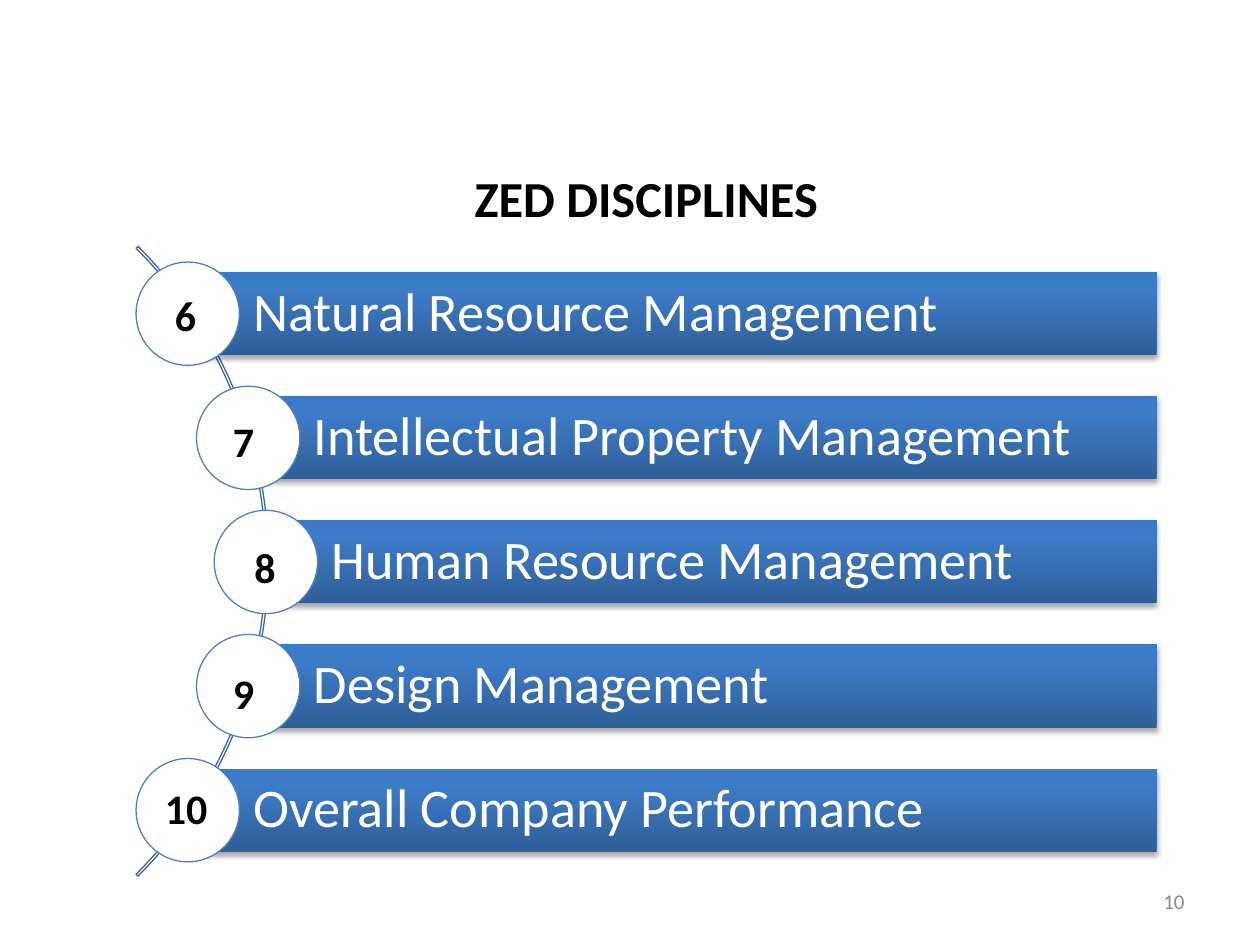
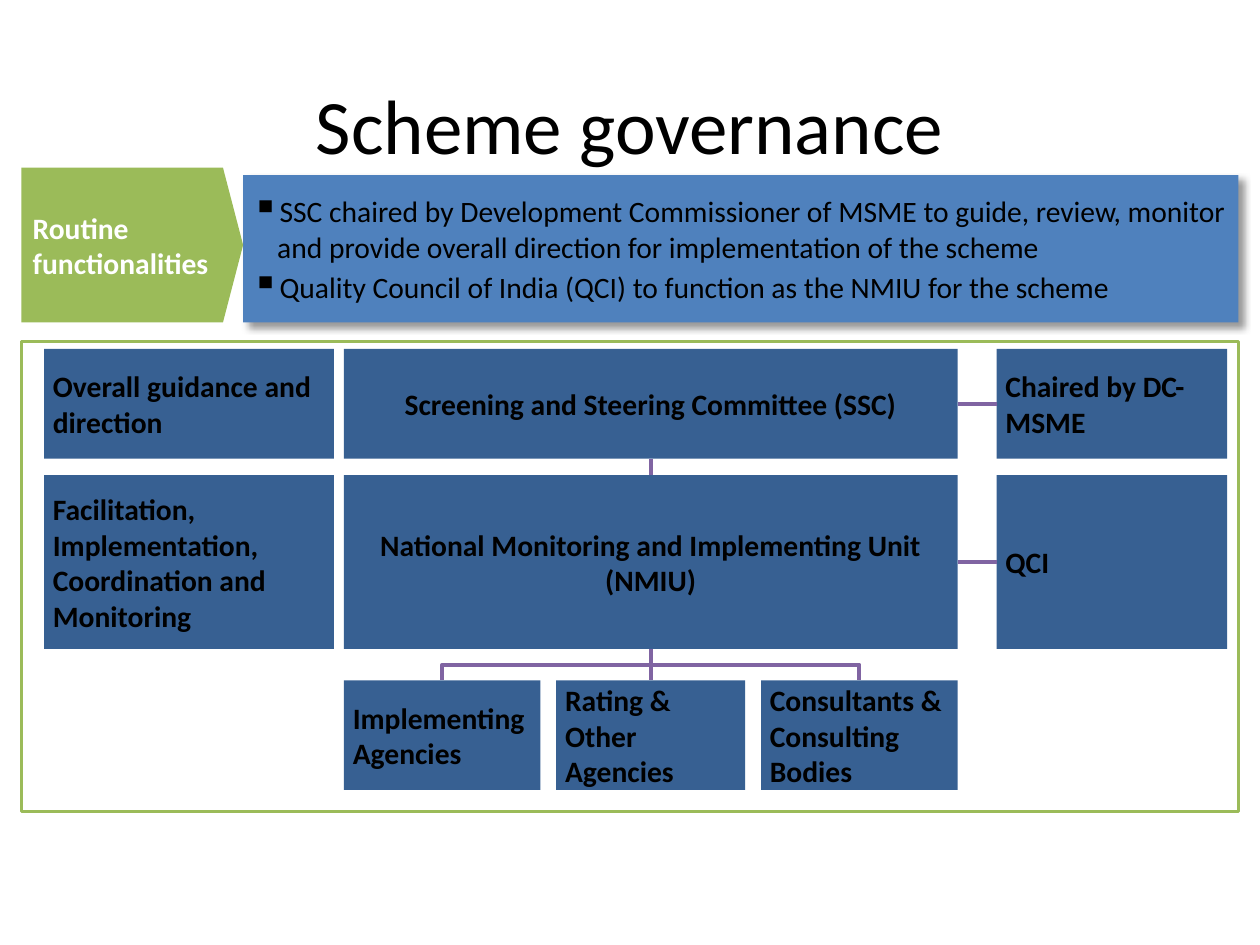
from dataclasses import dataclass

from lxml import etree
from pptx import Presentation
from pptx.dml.color import RGBColor
from pptx.enum.shapes import MSO_CONNECTOR, MSO_SHAPE
from pptx.enum.text import MSO_ANCHOR, PP_ALIGN
from pptx.oxml import parse_xml
from pptx.oxml.ns import nsdecls, qn
from pptx.util import Inches, Pt

RECT, OVAL, ARC = MSO_SHAPE.RECTANGLE, MSO_SHAPE.OVAL, MSO_SHAPE.BLOCK_ARC
STRAIGHT, ELBOW = MSO_CONNECTOR.STRAIGHT, MSO_CONNECTOR.ELBOW
LEFT, CENTER, RIGHT = PP_ALIGN.LEFT, PP_ALIGN.CENTER, PP_ALIGN.RIGHT
TOP, MIDDLE, BOTTOM = MSO_ANCHOR.TOP, MSO_ANCHOR.MIDDLE, MSO_ANCHOR.BOTTOM
SIDE_TOP, SIDE_LEFT, SIDE_BOTTOM, SIDE_RIGHT = range(4)


@dataclass(frozen=True)
class Theme:
    font: str = "Calibri"
    black: str = "000000"
    white: str = "FFFFFF"
    grey: str = "8C8C8C"
    blue: str = "4F81BD"
    dark_blue: str = "376092"
    arc_blue: str = "3F6797"
    green: str = "9BBB59"
    purple: str = "8064A2"
    bar_stops: tuple = ((0, "2F5F99"), (80, "3D7CC7"), (100, "3A7CCB"))
    title: float = 44
    bar: float = 31
    heading: float = 28.8
    number: float = 24
    body: float = 16.9
    footer: float = 12


THEME = Theme()
DEFAULT_INSETS = (0.1, 0.05, 0.1, 0.05)
CARD_INSETS = (0.07,) * 4
NO_INSETS = (0,) * 4


@dataclass(frozen=True)
class Box:
    left: float
    top: float
    width: float
    height: float

    def inner(self, left, top, width, height):
        """A box placed relative to this one."""
        return Box(self.left + left, self.top + top, width, height)

    def emu(self):
        return [Inches(v) for v in (self.left, self.top, self.width, self.height)]


# Shared helpers
def write(shape, lines, size, color=THEME.black, bold=False, align=LEFT,
          anchor=MIDDLE, insets=DEFAULT_INSETS, wrap=True):
    frame = shape.text_frame
    frame.word_wrap = wrap
    frame.vertical_anchor = anchor
    (frame.margin_left, frame.margin_top,
     frame.margin_right, frame.margin_bottom) = map(Inches, insets)
    frame.text = "\n".join(lines)
    for para in frame.paragraphs:
        para.alignment = align
        para.font.name = THEME.font
        para.font.size = Pt(size)
        para.font.bold = bold
        para.font.color.rgb = RGBColor.from_string(color)
    return frame


def add_text(page, box, text, size, **style):
    return write(page.shapes.add_textbox(*box.emu()), [text], size, **style)


def paint(shape, fill=None, line=None, weight=0.75):
    shape.shadow.inherit = False
    if fill:
        shape.fill.solid()
        shape.fill.fore_color.rgb = RGBColor.from_string(fill)
    else:
        shape.fill.background()
    if line:
        shape.line.color.rgb = RGBColor.from_string(line)
        shape.line.width = Pt(weight)
    else:
        shape.line.fill.background()
    return shape


def add_panel(page, kind, box, fill=None, line=None, weight=0.75):
    return paint(page.shapes.add_shape(kind, *box.emu()), fill, line, weight)


def add_shadow(shape, opacity, blur, distance, angle):
    effects = shape._element.spPr.find(qn("a:effectLst"))
    effects.append(parse_xml(
        f'<a:outerShdw {nsdecls("a")} blurRad="{Pt(blur)}" dist="{Pt(distance)}" '
        f'dir="{angle * 60000}" algn="ctr" rotWithShape="0">'
        f'<a:srgbClr val="{THEME.black}"><a:alpha val="{opacity * 1000}"/></a:srgbClr>'
        '</a:outerShdw>'))


def shade_bar(shape):
    stops = "".join(f'<a:gs pos="{pos * 1000}"><a:srgbClr val="{color}"/></a:gs>'
                    for pos, color in THEME.bar_stops)
    solid = shape._element.spPr.find(qn("a:solidFill"))
    solid.getparent().replace(solid, parse_xml(
        f'<a:gradFill {nsdecls("a")} rotWithShape="1"><a:gsLst>{stops}</a:gsLst>'
        f'<a:lin ang="{270 * 60000}" scaled="0"/></a:gradFill>'))


def add_bullet(para):
    props = para._p.get_or_add_pPr()
    props.set("marL", str(Inches(0.2)))
    props.set("indent", str(Inches(-0.2)))
    color = etree.SubElement(props, qn("a:buClr"))
    etree.SubElement(color, qn("a:srgbClr"), val=THEME.black)
    etree.SubElement(props, qn("a:buSzPct"), val="125000")
    etree.SubElement(props, qn("a:buChar"), char="▪")


def style_connector(connector):
    connector.line.color.rgb = RGBColor.from_string(THEME.purple)
    connector.line.width = Pt(2.25)
    etree.SubElement(connector._element.spPr, qn("a:effectLst"))


def link(page, start, start_side, end, end_side):
    connector = page.shapes.add_connector(STRAIGHT, 0, 0, 0, 0)
    connector.begin_connect(start, start_side)
    connector.end_connect(end, end_side)
    style_connector(connector)


def branch(page, parent, child):
    """Elbow from the parent's bottom down to the child's top."""
    x1, y1 = parent.left + parent.width // 2, parent.top + parent.height
    x2, y2 = child.left + child.width // 2, child.top
    mid_x, mid_y = (x1 + x2) // 2, (y1 + y2) // 2
    half_drop, half_run = (y2 - y1) // 2, abs(x2 - x1) // 2
    # An elbow starts sideways, so it is laid out flat and turned
    reach = half_drop if x2 < x1 else -half_drop
    connector = page.shapes.add_connector(
        ELBOW, mid_x - reach, mid_y - half_run, mid_x + reach, mid_y + half_run)
    turn = 90 if x2 < x1 else 270
    connector._element.spPr.find(qn("a:xfrm")).set("rot", str(turn * 60000))
    style_connector(connector)


# Slide with numbered disciplines along an arc
# Label, bar indent, number, number offset from the region
DISCIPLINES = (
    ("Natural Resource Management", 0.41, "6", (0.21, 0.17)),
    ("Intellectual Property Management", 0.89, "7", (0.67, 1.17)),
    ("Human Resource Management", 1.03, "8", (0.84, 2.17)),
    ("Design Management", 0.89, "9", (0.67, 3.17)),
    ("Overall Company Performance", 0.41, "10", (0.13, 4.08)),
)


def draw_disciplines(page, box):
    disc, bar_height = 0.82, 0.66
    pitch = (box.height - disc) / (len(DISCIPLINES) - 1)

    arc = add_panel(page, ARC, box.inner(-6.02, -1.16, 7.07, 7.07), line=THEME.arc_blue)
    for index, value in enumerate((189, 27, 0.003)):
        arc.adjustments[index] = value

    for row, (label, indent, number, (x, y)) in enumerate(DISCIPLINES):
        top = row * pitch
        bar = add_panel(page, RECT, box.inner(
            indent, top + (disc - bar_height) / 2, box.width - indent, bar_height), THEME.blue)
        shade_bar(bar)
        add_shadow(bar, 35, 3.1, 1.8, 90)
        frame = write(bar, [label], THEME.bar, THEME.white, insets=(0.52, 0.09, 0.09, 0.09))
        frame.paragraphs[0].line_spacing = 0.9
        add_panel(page, OVAL, box.inner(indent - disc / 2, top, disc, disc),
                  THEME.white, THEME.blue)
        add_text(page, box.inner(x, y, 0.2 + 0.17 * len(number), 0.5), number,
                 THEME.number, bold=True, anchor=TOP, wrap=False)


def disciplines_slide(page):
    add_text(page, Box(7.17, 6.95, 2.33, 0.4), "10", THEME.footer,
             color=THEME.grey, align=RIGHT)
    draw_disciplines(page, Box(1.08, 2.08, 8.1, 4.76))
    add_text(page, Box(3.17, 1.28, 3.92, 0.58), "ZED DISCIPLINES", THEME.heading,
             bold=True, align=CENTER)


# Slide with the governance structure
def draw_routine(page, box):
    tag_width, point = 1.76, 0.16
    detail = add_panel(page, RECT, box.inner(
        tag_width, 0.06, box.width - tag_width, box.height - 0.06), THEME.blue)
    add_shadow(detail, 40, 4, 4, 45)
    frame = write(detail, [
        "SSC chaired by Development Commissioner of MSME to guide, review, monitor "
        "and provide overall direction for implementation of the scheme",
        "Quality Council of India (QCI) to function as the NMIU for the scheme",
    ], THEME.body, insets=CARD_INSETS)
    for index, para in enumerate(frame.paragraphs):
        add_bullet(para)
        para.space_before = Pt(3 if index else 0)

    # Arrow-shaped tag
    left, top, bottom = box.left, box.top, box.top + box.height
    shoulder = left + tag_width - point
    outline = [(shoulder, top), (left + tag_width, top + box.height / 2),
               (shoulder, bottom), (left, bottom)]
    builder = page.shapes.build_freeform(Inches(left), Inches(top))
    builder.add_line_segments([(Inches(x), Inches(y)) for x, y in outline], close=True)
    tag = paint(builder.convert_to_shape(), THEME.green)
    write(tag, ["Routine functionalities"], THEME.body, THEME.white, bold=True,
          insets=(0.09, 0.09, 0.14, 0.09))


def draw_structure(page, box):
    add_panel(page, RECT, box, THEME.white, THEME.green, 1.5)

    def card(left, top, width, height, text, align=LEFT):
        shape = add_panel(page, RECT, box.inner(left, top, width, height), THEME.dark_blue)
        write(shape, [text], THEME.body, bold=True, align=align, insets=CARD_INSETS)
        return shape

    # Role, body and chair in each row
    main_left, main_width, low = 2.56, 4.87, 0.87
    rows = (
        (0.06, low, "Overall guidance and direction",
         "Screening and Steering Committee (SSC)", "Chaired by DC-MSME"),
        (1.06, 1.38, "Facilitation, Implementation, Coordination and Monitoring",
         "National Monitoring and Implementing Unit (NMIU)", "QCI"),
    )
    bodies = []
    for top, height, role, body, chair in rows:
        card(0.18, top, 2.3, height, role)
        bodies.append(card(main_left, top, main_width, height, body, CENTER))
        chair_card = card(7.74, top, 1.83, height, chair)
        link(page, bodies[-1], SIDE_RIGHT, chair_card, SIDE_LEFT)
    committee, unit = bodies
    link(page, committee, SIDE_BOTTOM, unit, SIDE_TOP)

    # Agencies under the unit: flush left, centred, flush right
    agencies = (("Implementing Agencies", 1.56), ("Rating & Other Agencies", 1.5),
                ("Consultants & Consulting Bodies", 1.56))
    first, middle, last = [
        card(main_left + (main_width - width) * place / 2, 2.69, width, low, text)
        for place, (text, width) in enumerate(agencies)]
    branch(page, unit, first)
    link(page, unit, SIDE_BOTTOM, middle, SIDE_TOP)
    branch(page, unit, last)


def governance_slide(page):
    draw_routine(page, Box(0.17, 1.33, 9.66, 1.23))
    draw_structure(page, Box(0.17, 2.71, 9.66, 3.73))
    add_text(page, Box(0.5, 0.1, 9, 1.25), "Scheme governance", THEME.title,
             align=CENTER, anchor=BOTTOM, insets=NO_INSETS)


def main():
    deck = Presentation()
    deck.slide_width, deck.slide_height = Inches(10), Inches(7.5)
    blank = deck.slide_layouts[6]
    for build in (disciplines_slide, governance_slide):
        build(deck.slides.add_slide(blank))
    deck.save("out.pptx")


if __name__ == "__main__":
    main()
